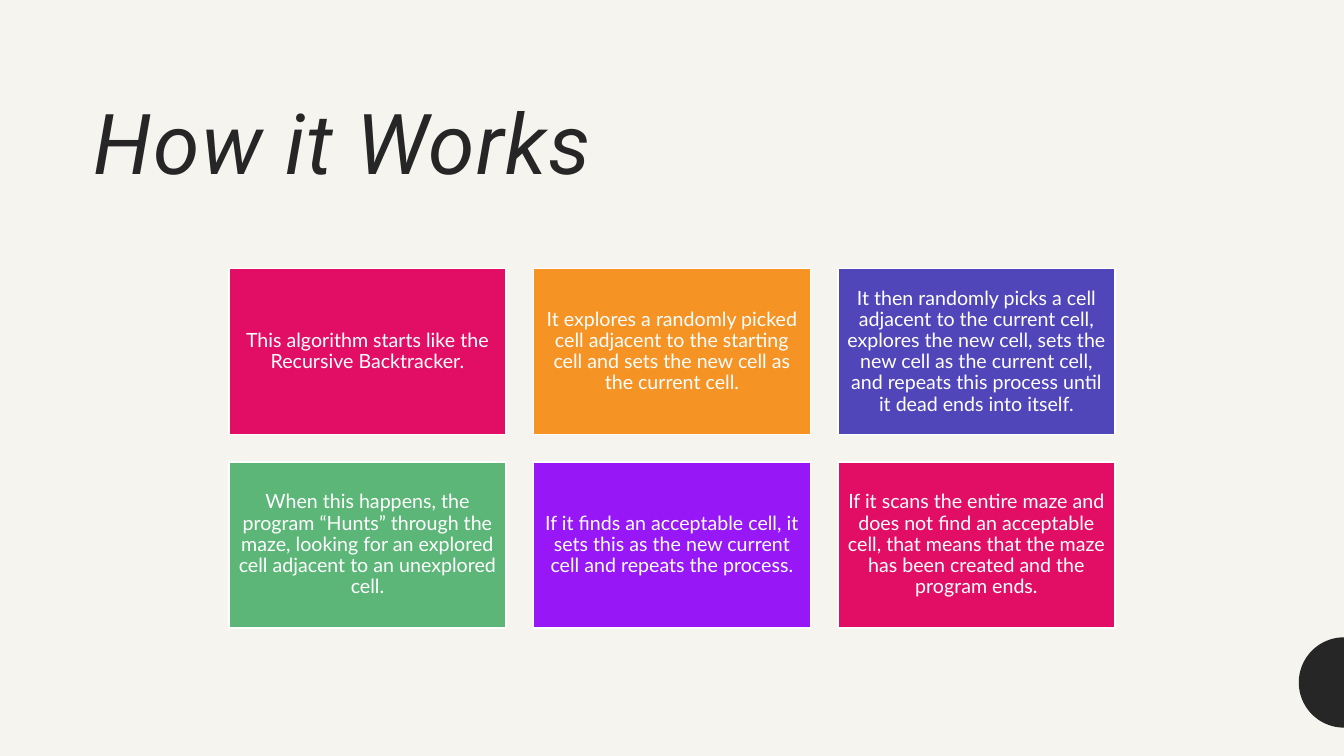
import math

from pptx import Presentation, util as u
from pptx.dml.color import RGBColor
from pptx.enum import shapes, text

PX = 9525  # EMU per px, 96 px to the inch
SLIDE_W, SLIDE_H = 1280, 720

CREAM = RGBColor(0xF6, 0xF4, 0xEF)
CHARCOAL = RGBColor(0x26, 0x26, 0x26)
WHITE = RGBColor(0xFF, 0xFF, 0xFF)
PINK = RGBColor(0xE2, 0x0E, 0x65)
ORANGE = RGBColor(0xF5, 0x93, 0x24)
INDIGO = RGBColor(0x50, 0x46, 0xB9)
GREEN = RGBColor(0x5C, 0xB6, 0x78)
VIOLET = RGBColor(0x97, 0x17, 0xF7)

STEPS = [
    (PINK, "This algorithm starts like the Recursive Backtracker."),
    (ORANGE, "It explores a randomly picked cell adjacent to the starting cell "
             "and sets the new cell as the current cell."),
    (INDIGO, "It then randomly picks a cell adjacent to the current cell, "
             "explores the new cell, sets the new cell as the current cell, "
             "and repeats this process until it dead ends into itself."),
    (GREEN, "When this happens, the program “Hunts” through the maze, looking "
            "for an explored cell adjacent to an unexplored cell."),
    (VIOLET, "If it finds an acceptable cell, it sets this as the new current "
             "cell and repeats the process."),
    (PINK, "If it scans the entire maze and does not find an acceptable cell, "
           "that means that the maze has been created and the program ends."),
]
COLUMNS = 3
GRID_LEFT, GRID_TOP = 218, 256
STEP_W, STEP_H = 264, 158
COLUMN_PITCH, ROW_PITCH = 290, 184
STEP_INSET = 6


def px(*lengths):
    return [round(length * PX) for length in lengths]


def style_paragraph(paragraph, font_name, size, color):
    paragraph.line_spacing = 0.9
    paragraph.font.name = font_name
    paragraph.font.size = u.Pt(size)
    paragraph.font.color.rgb = color


def add_title(slide, wording):
    frame = slide.shapes.add_textbox(*px(80, 44, 1120, 144)).text_frame
    frame.word_wrap = True
    frame.vertical_anchor = text.MSO_ANCHOR.BOTTOM
    heading = frame.paragraphs[0]
    run = heading.add_run()
    run.text = wording
    run._r.get_or_add_rPr().set("spc", "100")
    style_paragraph(heading, "Roboto", 60, CHARCOAL)
    heading.font.italic = True


def add_half_disc(slide, center_x, center_y, radius, sides=48):
    """Draw the left half of a disc as a filled outline."""
    angles = [math.pi * (0.5 + i / sides) for i in range(sides + 1)]
    rim = [px(center_x + radius * math.cos(a), center_y - radius * math.sin(a))
           for a in angles]
    outline = slide.shapes.build_freeform(*rim[0])
    outline.add_line_segments(rim[1:], close=True)
    half_disc = outline.convert_to_shape()
    half_disc.shadow.inherit = False
    half_disc.fill.solid()
    half_disc.fill.fore_color.rgb = CHARCOAL
    half_disc.line.fill.background()


def add_step(slide, left, top, color, wording):
    step = slide.shapes.add_shape(shapes.MSO_SHAPE.RECTANGLE,
                                  *px(left, top, STEP_W, STEP_H))
    step.shadow.inherit = False
    step.fill.solid()
    step.fill.fore_color.rgb = color
    step.line.color.rgb = WHITE
    step.line.width = u.Pt(1)
    frame = step.text_frame
    frame.word_wrap = True
    frame.vertical_anchor = text.MSO_ANCHOR.MIDDLE
    (frame.margin_left, frame.margin_top,
     frame.margin_right, frame.margin_bottom) = px(*[STEP_INSET] * 4)
    sentence = frame.paragraphs[0]
    sentence.text = wording
    sentence.alignment = text.PP_ALIGN.CENTER
    style_paragraph(sentence, "Lato", 14, WHITE)


def main():
    deck = Presentation()
    deck.slide_width, deck.slide_height = px(SLIDE_W, SLIDE_H)
    slide = deck.slides.add_slide(deck.slide_layouts[6])
    slide.background.fill.solid()
    slide.background.fill.fore_color.rgb = CREAM

    add_title(slide, "How it Works")
    add_half_disc(slide, SLIDE_W, 650, 43)
    for i, (color, wording) in enumerate(STEPS):
        row, column = divmod(i, COLUMNS)
        add_step(slide, GRID_LEFT + column * COLUMN_PITCH,
                 GRID_TOP + row * ROW_PITCH, color, wording)

    deck.save("out.pptx")


if __name__ == "__main__":
    main()
